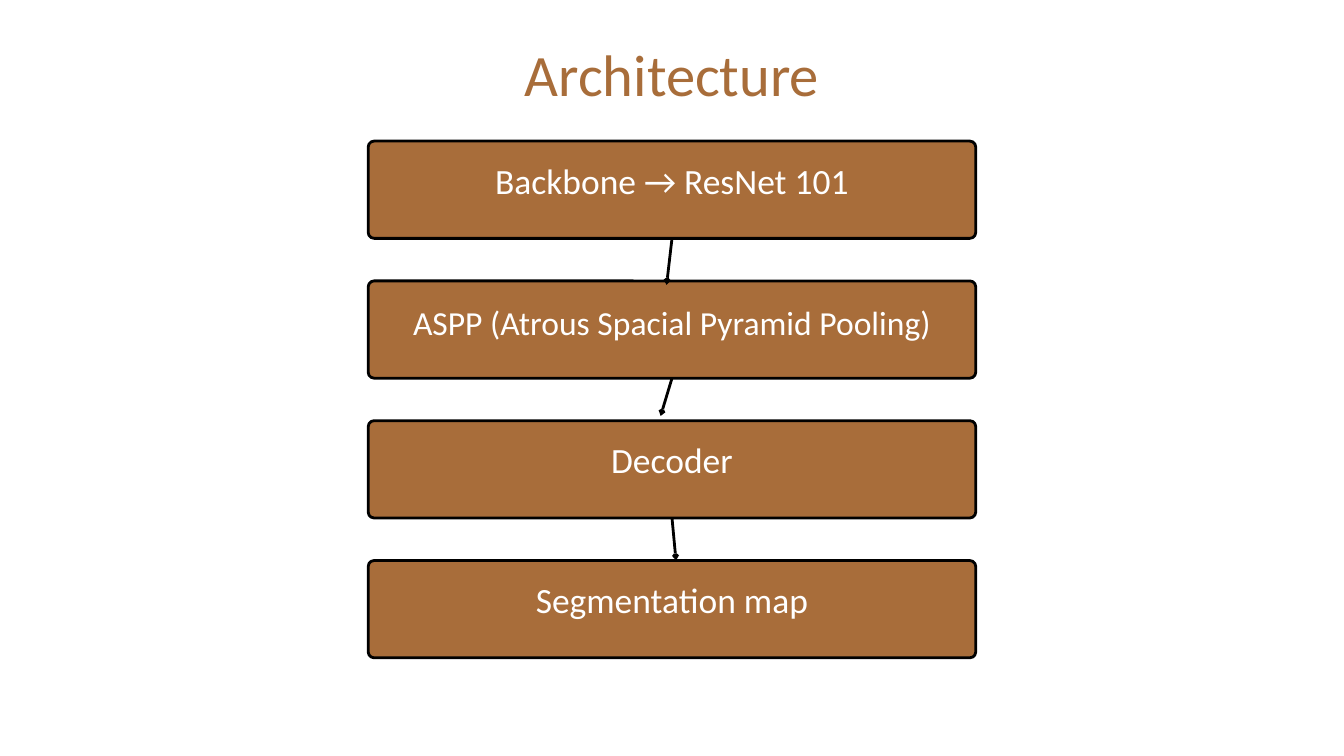
from pptx import Presentation
from pptx.dml.color import RGBColor
from pptx.enum.shapes import MSO_CONNECTOR, MSO_SHAPE
from pptx.enum.text import MSO_ANCHOR, MSO_AUTO_SIZE, PP_ALIGN
from pptx.oxml.ns import qn
from pptx.util import Pt
from lxml import etree

SLIDE_W, SLIDE_H = 1440, 810
BOX_W, BOX_H = 650.9, 104.2
BOX_LEFT = (SLIDE_W - BOX_W) / 2
BOX_TOP, BOX_STEP = 151.2, 149.8
BOTTOM = 2

# label, text size, line spacing, label height
STAGES = [
    ("Backbone → ResNet 101", 38, 53.2, 132.5),
    ("ASPP (Atrous Spacial Pyramid Pooling)", 36, 50.4, 126.7),
    ("Decoder", 38, 53.2, 132.5),
    ("Segmentation map", 38, 53.2, 132.5),
]
ARROW_TIPS = [(714.2, 305.3), (707.8, 445.7), (724.3, 600.5)]


def rgb(value):
    return RGBColor.from_string(value)


class Deck:
    FONT = "Calibri"
    BROWN, WHITE, BLACK = "A86D3A", "FFFFFF", "000000"
    LINE = 3

    def __init__(self, slide):
        self.s = slide

    def text(self, shapes, text, x, y, w, h, size, spacing, color, inset=0,
             **frame):
        tf = shapes.add_textbox(Pt(x), Pt(y), Pt(w), Pt(h)).text_frame
        margins = {f"margin_{side}": Pt(inset)
                   for side in ("left", "top", "right", "bottom")}
        for name, value in {"word_wrap": True, **margins, **frame}.items():
            setattr(tf, name, value)
        p = tf.paragraphs[0]
        p.alignment, p.line_spacing = PP_ALIGN.CENTER, Pt(spacing)
        r = p.add_run()
        r.text = text
        for name, value in {"name": self.FONT, "size": Pt(size)}.items():
            setattr(r.font, name, value)
        r.font.color.rgb = rgb(color)

    def stage(self, label, y, size, spacing, label_h):
        """Group a rounded box with a label that shares its bottom edge."""
        shapes = self.s.shapes.add_group_shape().shapes
        sp = shapes.add_shape(MSO_SHAPE.ROUNDED_RECTANGLE, Pt(BOX_LEFT), Pt(y),
                              Pt(BOX_W), Pt(BOX_H))
        sp.adjustments[0] = 0.06
        sp.shadow.inherit = False
        sp.fill.solid()
        sp.fill.fore_color.rgb = rgb(self.BROWN)
        self.outline(sp.line)
        self.text(shapes, label, BOX_LEFT, y + BOX_H - label_h, BOX_W, label_h,
                  size, spacing, self.WHITE, inset=4,
                  vertical_anchor=MSO_ANCHOR.MIDDLE)
        return sp

    def outline(self, line):
        line.color.rgb = rgb(self.BLACK)
        line.width = Pt(self.LINE)

    def arrow(self, box, tip):
        """Draw an arrow from the middle of the box's bottom side to the tip."""
        x, y = tip
        c = self.s.shapes.add_connector(MSO_CONNECTOR.STRAIGHT, Pt(x), Pt(y),
                                        Pt(x), Pt(y))
        c.begin_connect(box, BOTTOM)
        self.outline(c.line)
        sp_pr = c.line._get_or_add_ln().getparent()
        etree.SubElement(sp_pr.find(qn("a:ln")), qn("a:tailEnd"), type="arrow",
                         w="sm", len="sm")
        etree.SubElement(sp_pr, qn("a:effectLst"))


def main():
    prs = Presentation()
    prs.slide_width, prs.slide_height = Pt(SLIDE_W), Pt(SLIDE_H)
    deck = Deck(prs.slides.add_slide(prs.slide_layouts[6]))

    title_w = 978
    deck.text(deck.s.shapes, "Architecture", (SLIDE_W - title_w) / 2, 46.8,
              title_w, 71.3, 62.8, 69, deck.BROWN,
              auto_size=MSO_AUTO_SIZE.SHAPE_TO_FIT_TEXT)
    boxes = [deck.stage(label, BOX_TOP + i * BOX_STEP, *style)
             for i, (label, *style) in enumerate(STAGES)]
    for box, tip in zip(boxes, ARROW_TIPS):
        deck.arrow(box, tip)

    prs.save("out.pptx")


if __name__ == "__main__":
    main()
